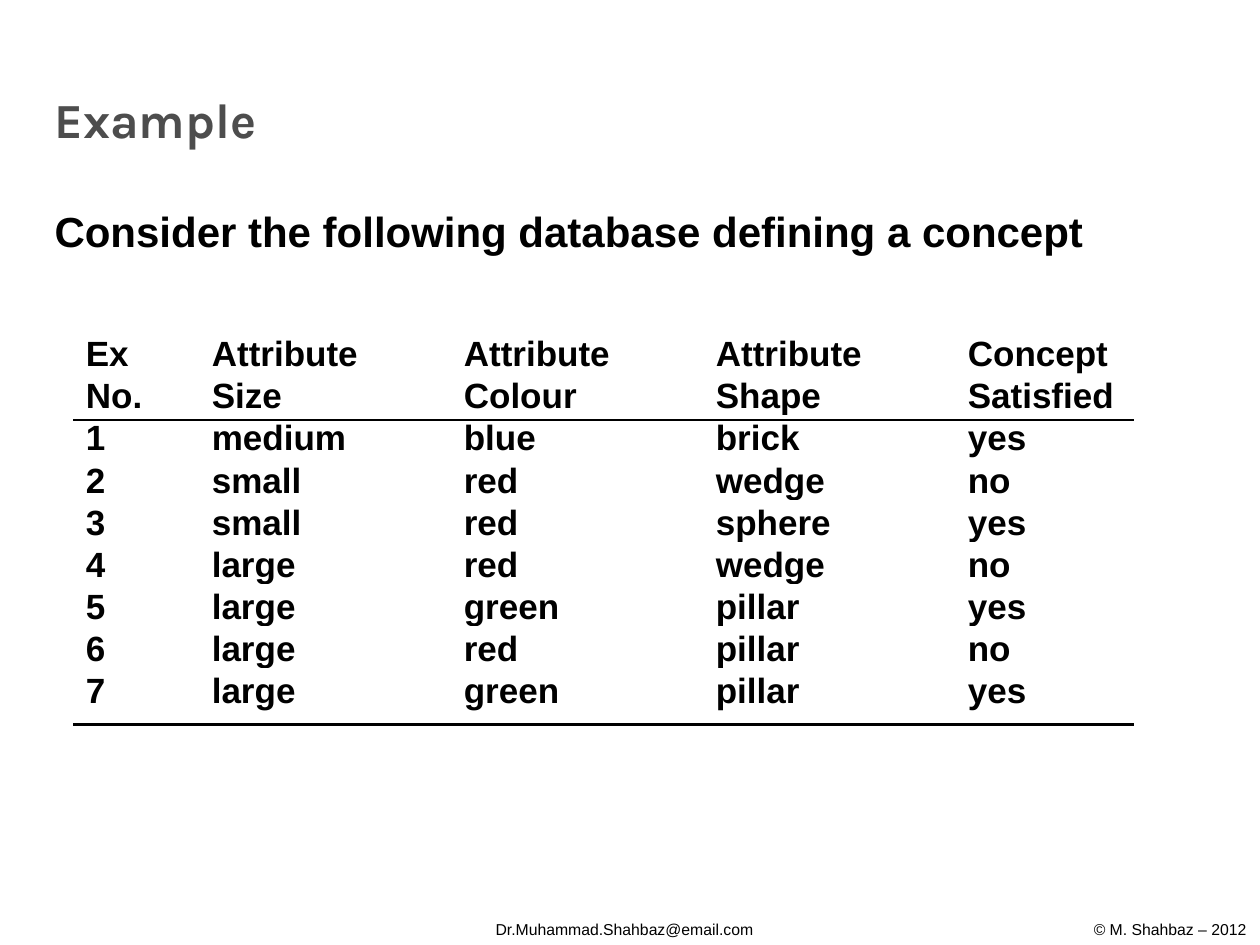
from pptx import Presentation, util as u
from pptx.dml.color import RGBColor
from pptx.enum import shapes, text
from pptx.oxml.ns import qn
from lxml import etree

COLOURS = {"ink": "000000", "heading": "4D4D4D"}

LABELS = [
    ("© M. Shahbaz – 2012", (21.8, 18.41, 4.01, 0.64), 9, "Arial", "ink", False),
    ("Dr.Muhammad.Shahbaz@email.com", (9.74, 18.41, 6.14, 0.64), 9, "Arial", "ink", False),
    ("Example", (0.85, 1.69, 18.63, 1.44), 28, "Karla", "heading", True),
    ("Consider the following database defining a concept",
     (0.85, 4.02, 21.38, 1.27), 24, "Arial", "ink", True),
]

HEADER = [("Ex", "No."), ("Attribute", "Size"), ("Attribute", "Colour"),
          ("Attribute", "Shape"), ("Concept", "Satisfied")]
EXAMPLES = [
    ("1", "medium", "blue", "brick", "yes"),
    ("2", "small", "red", "wedge", "no"),
    ("3", "small", "red", "sphere", "yes"),
    ("4", "large", "red", "wedge", "no"),
    ("5", "large", "green", "pillar", "yes"),
    ("6", "large", "red", "pillar", "no"),
    ("7", "large", "green", "pillar", "yes"),
]

LEFT, TOP = 1.48, 6.69
COLUMN_WIDTHS = [2.54, 5.08, 5.08, 5.08, 3.6]
LINE_HEIGHT = 0.85
RULE_HEIGHTS = [8.47, 14.61]
INSET = 0.25


def add_run(paragraph, words, size, face, colour, bold):
    run = paragraph.add_run()
    run.text = words
    run.font.size = u.Pt(size)
    run.font.name = face
    run.font.bold = bold
    run.font.color.rgb = RGBColor.from_string(COLOURS[colour])


def add_label(slide, words, place, *style):
    label = slide.shapes.add_textbox(*map(u.Cm, place)).text_frame
    label.word_wrap = True
    add_run(label.paragraphs[0], words, *style)


def fill_cell(cell, lines):
    cell.fill.background()
    cell.margin_left = u.Cm(INSET)
    cell.margin_right = cell.margin_top = cell.margin_bottom = 0
    cell.vertical_anchor = text.MSO_ANCHOR.MIDDLE
    for index, line in enumerate(lines):
        paragraph = cell.text_frame.paragraphs[0] if index == 0 else cell.text_frame.add_paragraph()
        paragraph.line_spacing = u.Pt(24)
        add_run(paragraph, line, 20, "Arial", "ink", True)


def add_database(slide):
    rows = [HEADER] + [[(value,) for value in example] for example in EXAMPLES]
    heights = [LINE_HEIGHT * len(row[0]) for row in rows]
    database = slide.shapes.add_table(
        len(rows), len(HEADER), u.Cm(LEFT), u.Cm(TOP),
        u.Cm(sum(COLUMN_WIDTHS)), u.Cm(sum(heights))).table
    database.horz_banding = False
    database.first_row = False
    for column, width in zip(database.columns, COLUMN_WIDTHS):
        column.width = u.Cm(width)
    for r, (row, height) in enumerate(zip(rows, heights)):
        database.rows[r].height = u.Cm(height)
        for c, lines in enumerate(row):
            fill_cell(database.cell(r, c), lines)


def add_rule(slide, y):
    rule = slide.shapes.add_connector(
        shapes.MSO_CONNECTOR.STRAIGHT, u.Cm(LEFT), u.Cm(y),
        u.Cm(LEFT + sum(COLUMN_WIDTHS)), u.Cm(y))
    rule.line.color.rgb = RGBColor.from_string(COLOURS["ink"])
    rule.line.width = u.Pt(1.5)
    etree.SubElement(rule._element.spPr, qn("a:effectLst"))


def main():
    deck = Presentation()
    deck.slide_width, deck.slide_height = u.Cm(25.4), u.Cm(19.05)
    slide = deck.slides.add_slide(deck.slide_layouts[6])
    for label in LABELS:
        add_label(slide, *label)
    add_database(slide)
    for y in RULE_HEIGHTS:
        add_rule(slide, y)
    deck.save("out.pptx")


if __name__ == "__main__":
    main()
